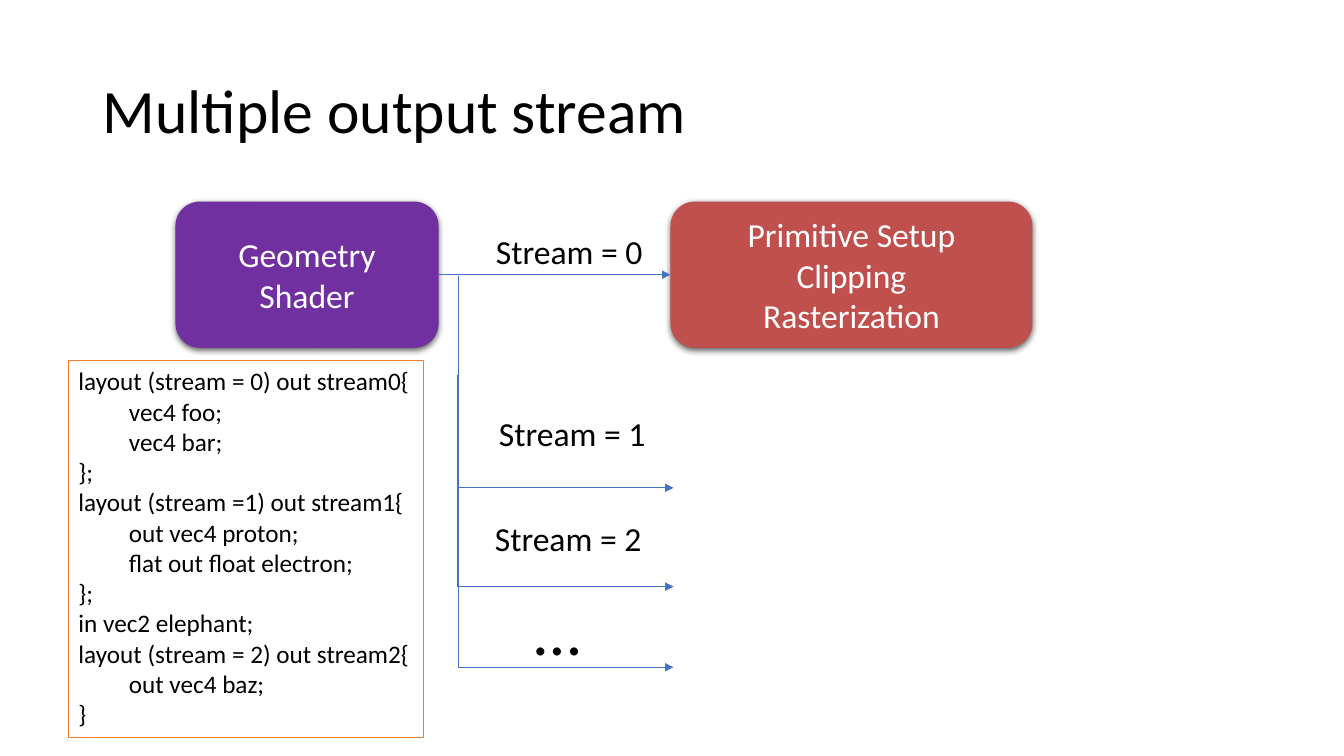
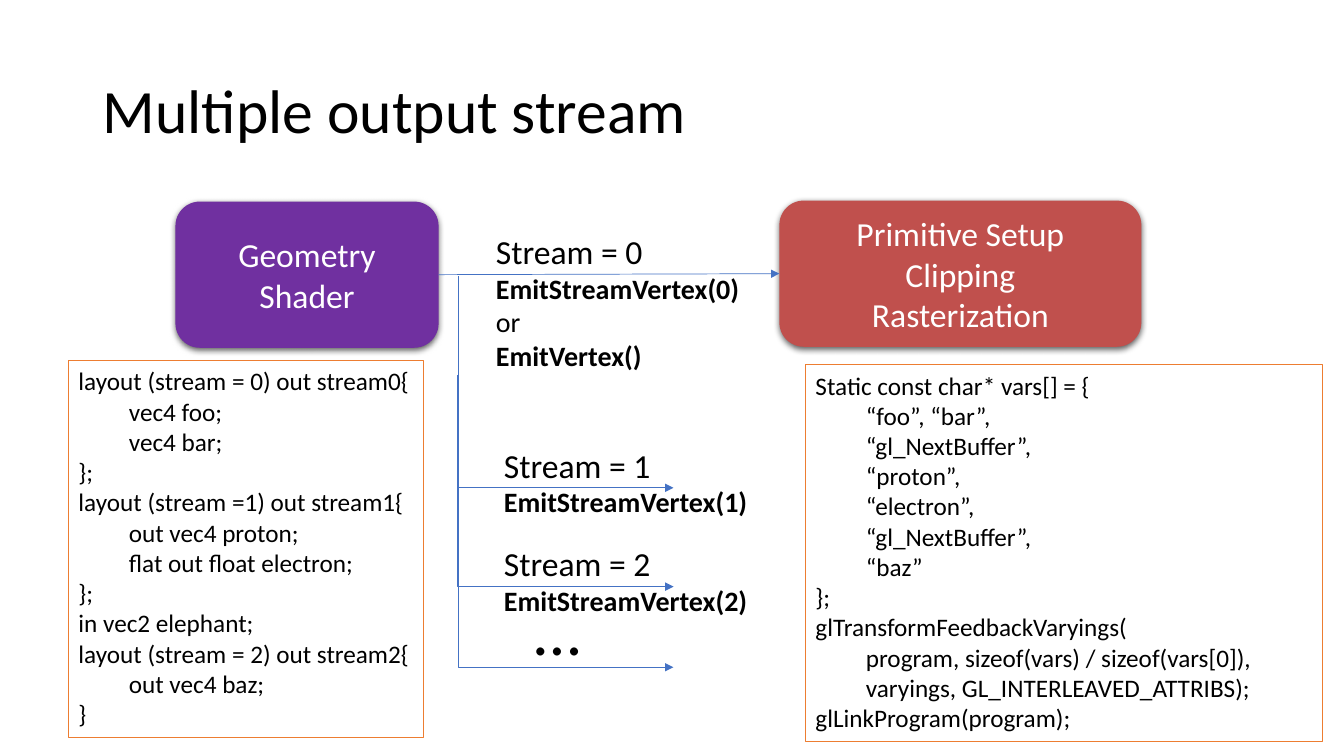
from lxml.etree import SubElement
from pptx import Presentation
from pptx.dml.color import RGBColor
from pptx.enum.shapes import MSO_CONNECTOR as Connector, MSO_SHAPE as Preset
from pptx.enum.text import MSO_ANCHOR as Anchor, MSO_AUTO_SIZE as AutoSize, PP_ALIGN as Align
from pptx.oxml.ns import qn
from pptx.util import Inches, Pt

FONT = "Calibri"
COLORS = {
    "text": "000000",
    "light": "FFFFFF",
    "shader": "7030A0",
    "raster": "C0504D",
    "arrow": "4472C4",
    "frame": "ED7D31",
}
TITLE = "Multiple output stream"
SHADER_CODE = [
    "layout (stream = 0) out stream0{",
    "\tvec4 foo;",
    "\tvec4 bar;",
    "};",
    "layout (stream =1) out stream1{",
    "\tout vec4 proton;",
    "\tflat out float electron;",
    "};",
    "in vec2 elephant;",
    "layout (stream = 2) out stream2{",
    "\tout vec4 baz;",
    "}",
]
FEEDBACK_CODE = [
    "Static const char* vars[] = {",
    "\t“foo”, “bar”,",
    "\t“gl_NextBuffer”,",
    "\t“proton”,",
    "\t“electron”,",
    "\t“gl_NextBuffer”,",
    "\t“baz”",
    "};",
    "glTransformFeedbackVaryings(",
    "\tprogram, sizeof(vars) / sizeof(vars[0]),",
    "\tvaryings, GL_INTERLEAVED_ATTRIBS);",
    "glLinkProgram(program);",
]
BRANCHES = [(4.55, 2.74), (4.54, 3.72), (4.55, 4.52)]
BRANCH_END, BRANCH_DROP = 6.68, 2.1


def color(name):
    """Return the named colour."""
    return RGBColor.from_string(COLORS[name])


class Deck:
    """Hold the presentation, its style and the current slide."""

    def __init__(self):
        """Start an empty widescreen presentation."""
        self.deck = Presentation()
        self.deck.slide_width = Inches(13.33)
        self.deck.slide_height = Inches(7.5)
        self.page = None

    def start_page(self, text):
        """Add a slide with a formatted title."""
        self.page = self.deck.slides.add_slide(self.deck.slide_layouts[5])
        title = self.page.shapes.title
        title.left, title.top, title.width, title.height = map(Inches, (0.92, 0.4, 11.5, 1.45))
        frame = title.text_frame
        frame.text = text
        frame.vertical_anchor = Anchor.MIDDLE
        frame.auto_size = AutoSize.NONE
        self.style(frame.paragraphs[0], 44)
        frame.paragraphs[0].alignment = Align.LEFT
        frame.paragraphs[0].line_spacing = 0.9

    def style(self, para, size, ink="text", bold=False):
        """Format every run of a paragraph."""
        for span in para.runs:
            span.font.name = FONT
            span.font.size = Pt(size)
            span.font.bold = bold
            span.font.color.rgb = color(ink)

    def stage(self, left, top, width, fill, text):
        """Add a rounded pipeline stage with a soft shadow."""
        box = self.page.shapes.add_shape(
            Preset.ROUNDED_RECTANGLE, Inches(left), Inches(top), Inches(width), Inches(1.45))
        box.fill.solid()
        box.fill.fore_color.rgb = color(fill)
        box.line.fill.background()
        box.shadow.inherit = False
        effects = box._element.spPr.find(qn("a:effectLst"))
        shadow = SubElement(effects, qn("a:outerShdw"), blurRad=str(Pt(4.5)), dist=str(Pt(1.5)),
                            dir="5400000", algn="ctr", rotWithShape="0")
        tint = SubElement(shadow, qn("a:srgbClr"), val=COLORS["text"])
        SubElement(tint, qn("a:alpha"), val="63000")
        box.text_frame.text = text
        box.text_frame.vertical_anchor = Anchor.MIDDLE
        for para in box.text_frame.paragraphs:
            para.alignment = Align.CENTER
            self.style(para, 24, "light")
        return box

    def text(self, left, top, width, height, lines):
        """Add an unwrapped text box and return it."""
        box = self.page.shapes.add_textbox(*map(Inches, (left, top, width, height)))
        frame = box.text_frame
        frame.word_wrap = False
        frame.auto_size = AutoSize.SHAPE_TO_FIT_TEXT
        frame.text = "\n".join(lines)
        return box

    def label(self, left, top, width, height, lines, size=24):
        """Add a stream label with its emit calls below."""
        heading, *calls = self.text(left, top, width, height, lines).text_frame.paragraphs
        self.style(heading, size)
        for para in calls:
            self.style(para, 20, bold=para.text.startswith("Emit"))

    def code(self, left, top, width, lines):
        """Add a framed code listing."""
        box = self.text(left, top, width, 3.74, lines)
        box.line.color.rgb = color("frame")
        box.line.width = Pt(0.75)
        for para in box.text_frame.paragraphs:
            self.style(para, 18)

    def finish_arrow(self, arrow):
        """Give a connector its line, arrowhead and no shadow."""
        arrow.line.color.rgb = color("arrow")
        arrow.line.width = Pt(0.5)
        properties = arrow._element.spPr
        SubElement(properties.find(qn("a:ln")), qn("a:tailEnd"), type="triangle")
        SubElement(properties, qn("a:effectLst"))

    def link(self, source, target):
        """Join two stages from right side to left side."""
        arrow = self.page.shapes.add_connector(Connector.STRAIGHT, 0, 0, 0, 0)
        arrow.begin_connect(source, 3)
        arrow.end_connect(target, 1)
        self.finish_arrow(arrow)

    def branches(self):
        """Add the grouped elbow arrows that leave the main stream."""
        group = self.page.shapes.add_group_shape()
        for left, top in BRANCHES:
            arrow = group.shapes.add_connector(
                Connector.ELBOW, Inches(left), Inches(top),
                Inches(BRANCH_END), Inches(top + BRANCH_DROP))
            guides = arrow._element.spPr.find(qn("a:prstGeom")).find(qn("a:avLst"))
            SubElement(guides, qn("a:gd"), name="adj1", fmla="val 0")
            self.finish_arrow(arrow)

    def pipeline(self, raster_left, raster_top, labels):
        """Build a slide with the stages, streams and shader code."""
        self.start_page(TITLE)
        raster = self.stage(raster_left, raster_top, 3.59, "raster",
                            "Primitive Setup\nClipping\nRasterization")
        shader = self.stage(1.74, 2, 2.61, "shader", "Geometry\vShader")
        self.link(shader, raster)
        self.branches()
        for place, lines in labels:
            self.label(*place, lines)
        self.label(5.2, 5.79, 0.82, 0.91, ["…"], 48)
        self.code(0.68, 3.58, 3.52, SHADER_CODE)


def main():
    """Build and save the slides."""
    deck = Deck()
    deck.pipeline(6.65, 2, [
        ((4.82, 2.24, 1.67, 0.5), ["Stream = 0"]),
        ((4.85, 4.05, 1.67, 0.5), ["Stream = 1"]),
        ((4.81, 5.09, 1.67, 0.5), ["Stream = 2"]),
    ])
    deck.pipeline(7.73, 1.99, [
        ((4.82, 2.24, 2.64, 1.92),
         ["Stream = 0", "EmitStreamVertex(0)", "or", "EmitVertex()"]),
        ((4.9, 4.36, 2.64, 0.84), ["Stream = 1", "EmitStreamVertex(1)"]),
        ((4.9, 5.34, 2.64, 0.84), ["Stream = 2", "EmitStreamVertex(2)"]),
    ])
    deck.code(7.99, 3.62, 5.13, FEEDBACK_CODE)
    deck.deck.save("out.pptx")


if __name__ == "__main__":
    main()
